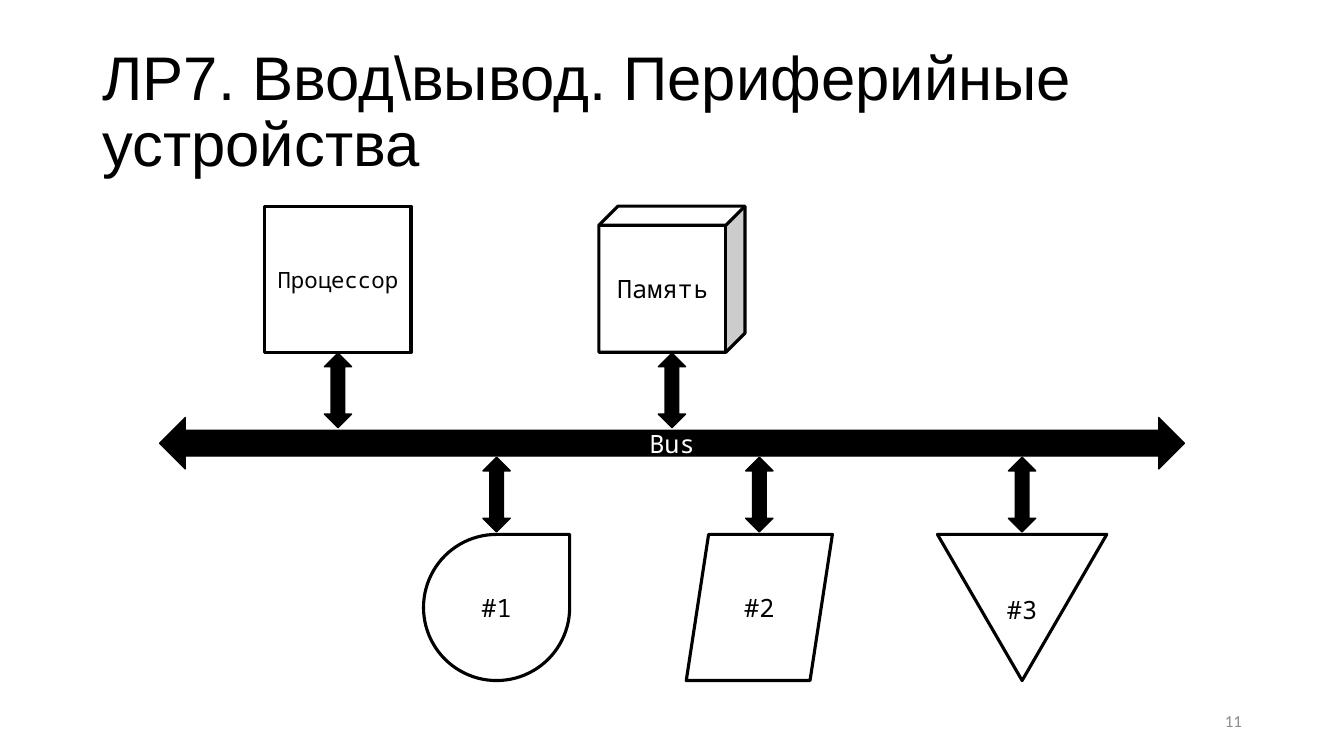
from pptx import Presentation
from pptx import util as u
from pptx.dml.color import RGBColor
from pptx.enum import shapes, text

COLORS = {"ink": "000000", "paper": "FFFFFF", "muted": "8C8C8C"}
MONO = "Noto Sans Mono"
WIDTH, HEIGHT = u.Inches(13.33), u.Inches(7.5)
COLS, ROWS = 40, 22.5
SIDE = 4.35
TOP_ROW, BUS_ROW, DEVICE_ROW = 8.31, 13.19, 18.08
TOP_LINK, DEVICE_LINK = 11.62, 14.72
DEVICE_COL, DEVICE_STEP = 14.78, 7.82
G = shapes.MSO_SHAPE


def rgb(name):
    return RGBColor.from_string(COLORS[name])


def box(col, row, w, h):
    cw, rh = WIDTH / COLS, HEIGHT / ROWS
    return [int(v) for v in ((col - w / 2) * cw, (row - h / 2) * rh, w * cw, h * rh)]


def write(sp, content, size=18, font=MONO, color="ink",
          align=text.PP_ALIGN.CENTER, spacing=None):
    tf = sp.text_frame
    tf.word_wrap = True
    tf.vertical_anchor = text.MSO_ANCHOR.MIDDLE
    p = tf.paragraphs[0]
    p.alignment = align
    if spacing:
        p.line_spacing = spacing
    r = p.add_run()
    r.text = content
    r.font.size = u.Pt(size)
    r.font.name = font
    r.font.color.rgb = rgb(color)


def label(s, content, col, row, w, h, **style):
    write(s.shapes.add_textbox(*box(col, row, w, h)), content, **style)


def block(s, kind, col, row, w=SIDE, h=SIDE, fill="paper", weight=2.25,
          rotation=0, adj=None):
    sp = s.shapes.add_shape(kind, *box(col, row, w, h))
    sp.shadow.inherit = False
    sp.fill.solid()
    sp.fill.fore_color.rgb = rgb(fill)
    sp.line.color.rgb = rgb("ink")
    sp.line.width = u.Pt(weight)
    sp.rotation = rotation
    if adj is not None:
        sp.adjustments[0] = adj
    return sp


def arrow(s, col, row, w=2.22, h=0.81, rotation=270):
    return block(s, G.LEFT_RIGHT_ARROW, col, row, w, h, "ink", 1, rotation)


def main():
    prs = Presentation()
    prs.slide_width, prs.slide_height = WIDTH, HEIGHT
    s = prs.slides.add_slide(prs.slide_layouts[6])

    label(s, "ЛР7. Ввод\\вывод. Периферийные устройства", 20, 3.38, 34.5, SIDE,
          size=44, font="Arial", align=text.PP_ALIGN.LEFT, spacing=0.9)
    label(s, "11", 32.76, 21.45, 9, 1.2, size=12, font="Calibri",
          color="muted", align=text.PP_ALIGN.RIGHT)

    write(arrow(s, 20, BUS_ROW, 30.5, 1.53, 0), "Bus", color="paper")

    for kind, name, col, size, adj in (
            (G.RECTANGLE, "Процессор", 10.06, 16, None),
            (G.CUBE, "Память", 20, 18, 0.131)):
        write(block(s, kind, col, TOP_ROW, adj=adj), name, size=size)
        arrow(s, col, TOP_LINK)

    for i, (kind, w, rotation, adj) in enumerate((
            (G.TEAR, SIDE, 0, None),
            (G.PARALLELOGRAM, SIDE, 0, 0.153),
            (G.ISOSCELES_TRIANGLE, 5.04, 180, None))):
        col = DEVICE_COL + i * DEVICE_STEP
        sp = block(s, kind, col, DEVICE_ROW, w, rotation=rotation, adj=adj)
        name = f"#{i + 1}"
        if rotation:
            label(s, name, col, DEVICE_ROW + 0.05, SIDE, SIDE)
        else:
            write(sp, name)
        arrow(s, col, DEVICE_LINK)

    prs.save("out.pptx")


if __name__ == "__main__":
    main()
